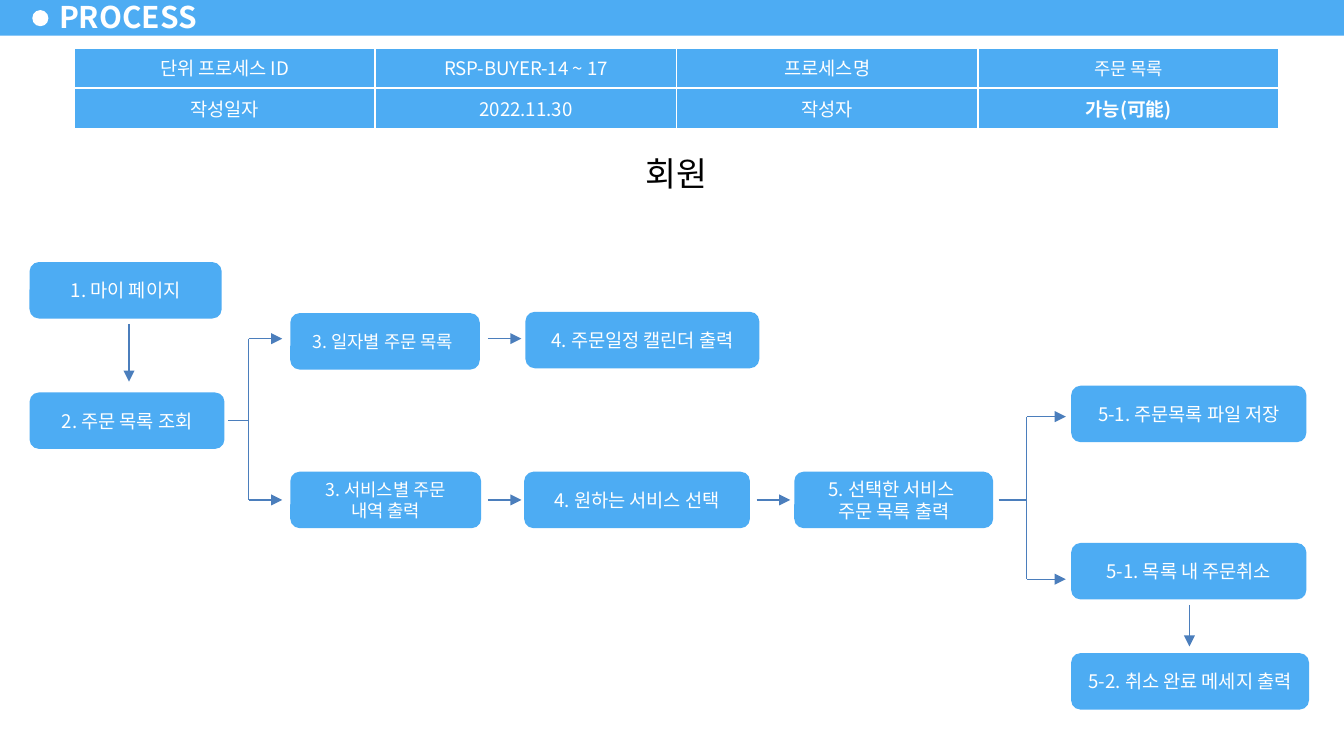
from lxml.etree import SubElement
from pptx import Presentation
from pptx.dml.color import RGBColor
from pptx.enum.shapes import MSO_CONNECTOR, MSO_SHAPE
from pptx.enum.text import MSO_ANCHOR, PP_ALIGN
from pptx.oxml.ns import qn
from pptx.util import Inches, Pt

BLUE = RGBColor(0x4D, 0xAC, 0xF3)
LINE = RGBColor(0x4B, 0x7E, 0xBC)
WHITE = RGBColor(0xFF, 0xFF, 0xFF)
BLACK = RGBColor(0, 0, 0)
FONT = "Noto Sans CJK KR"
CELL = 0.1          # side of one grid cell, in inches
COLS, ROWS = 100, 56.25
NODE_H = 4.2

# Flow steps: column, row, width, text size, lines
STEPS = [
    (0.2, 0.5, 14.3, 10, ["1. 마이 페이지"]),
    (0.2, 10.2, 14.5, 10, ["2. 주문 목록 조회"]),
    (19.6, 4.3, 14.1, 9.5, ["3. 일자별 주문 목록 "]),
    (37.1, 4.2, 17.4, 10, ["4. 주문일정 캘린더 출력"]),
    (19.6, 16.1, 14.2, 9.5, ["3. 서비스별 주문", "내역 출력"]),
    (37, 16.1, 16.8, 10, ["4. 원하는 서비스 선택"]),
    (57.1, 16.1, 14.8, 10, ["5. 선택한 서비스 ", "주문 목록 출력"]),
    (77.7, 9.7, 17.5, 10, ["5-1. 주문목록 파일 저장"]),
    (77.7, 21.4, 17.5, 10, ["5-1. 목록 내 주문취소"]),
    (77.7, 29.6, 17.7, 10, ["5-2. 취소 완료 메세지 출력"]),
]
# Single arrows: from column, row, to column, row
ARROWS = [
    (7.6, 5.1, 7.6, 9.4),
    (34.3, 6.2, 36.8, 6.2),
    (34.3, 18.2, 36.8, 18.2),
    (54.3, 18.2, 56.8, 18.2),
    (86.5, 26, 86.5, 29.1),
]
# Forks: stem start, trunk and tip columns, then stem, top and bottom rows
FORKS = [
    (15, 16.5, 19, 12.3, 6.2, 18.2),
    (72.3, 74.4, 77.3, 18.2, 12, 24.1),
]
# Info table: text, size, bold
INFO = [
    [("단위 프로세스 ID", 10, False), ("RSP-BUYER-14 ~ 17", 10, False),
     ("프로세스명", 10, False), ("주문 목록", 9.5, False)],
    [("작성일자", 10, False), ("2022.11.30", 10, False),
     ("작성자", 10, False), ("가능(可能)", 10, True)],
]


def grid(*cells):
    return [Inches(n * CELL) for n in cells]


def write(frame, lines, size, color=WHITE, bold=False, align=PP_ALIGN.CENTER):
    frame.word_wrap = True
    for i, line in enumerate(lines):
        para = frame.add_paragraph() if i else frame.paragraphs[0]
        para.alignment = align
        run = para.add_run()
        run.text = line
        font = run.font
        font.name, font.size, font.bold = FONT, Pt(size), bold
        font.color.rgb = color
        SubElement(run._r.get_or_add_rPr(), qn("a:ea"), typeface=FONT)


def block(slide, kind, box, fill):
    shape = slide.shapes.add_shape(kind, *grid(*box))
    shape.shadow.inherit = False
    shape.fill.solid()
    shape.fill.fore_color.rgb = fill
    shape.line.fill.background()
    return shape


def link(slide, ends, head=True):
    wire = slide.shapes.add_connector(MSO_CONNECTOR.STRAIGHT, *grid(*ends))
    wire.line.color.rgb = LINE
    wire.line.width = Pt(0.75)
    if head:
        SubElement(wire.line._get_or_add_ln(), qn("a:tailEnd"), type="triangle")
    SubElement(wire._element.spPr, qn("a:effectLst"))


def banner(slide, box):
    x, y, w, h = box
    block(slide, MSO_SHAPE.RECTANGLE, box, BLUE)
    block(slide, MSO_SHAPE.OVAL, (x + 2.4, y + 0.9, 1.2, 1.2), WHITE)
    title = slide.shapes.add_textbox(*grid(x + 3.5, y - 0.2, 12.2, 3.2))
    frame = title.text_frame
    frame.vertical_anchor = MSO_ANCHOR.MIDDLE
    frame.margin_left = frame.margin_right = Inches(0.09)
    frame.margin_top = frame.margin_bottom = Inches(0.04)
    write(frame, ["PROCESS"], 16, bold=True, align=PP_ALIGN.LEFT)


def edge(cell):
    props = cell._tc.get_or_add_tcPr()
    for i, side in enumerate(("lnL", "lnR", "lnT", "lnB")):
        line = props.makeelement(qn("a:" + side), {"w": str(Pt(1))})
        SubElement(SubElement(line, qn("a:solidFill")), qn("a:srgbClr"),
                   val=str(WHITE))
        props.insert(i, line)


def info(slide, box):
    table = slide.shapes.add_table(len(INFO), len(INFO[0]), *grid(*box)).table
    for r, row in enumerate(INFO):
        for c, (text, size, bold) in enumerate(row):
            cell = table.cell(r, c)
            cell.fill.solid()
            cell.fill.fore_color.rgb = BLUE
            cell.vertical_anchor = MSO_ANCHOR.MIDDLE
            write(cell.text_frame, [text], size, bold=bold)
            edge(cell)


def heading(slide, box):
    shape = block(slide, MSO_SHAPE.RECTANGLE, box, WHITE)
    shape.text_frame.vertical_anchor = MSO_ANCHOR.TOP
    write(shape.text_frame, ["회원"], 18, BLACK)


def flow(slide, box):
    left, top = box[:2]

    def wire(x1, y1, x2, y2, head=True):
        link(slide, (left + x1, top + y1, left + x2, top + y2), head)

    # Steps
    for x, y, w, size, lines in STEPS:
        node = block(slide, MSO_SHAPE.ROUNDED_RECTANGLE,
                     (left + x, top + y, w, NODE_H), BLUE)
        node.text_frame.vertical_anchor = MSO_ANCHOR.MIDDLE
        write(node.text_frame, lines, size)
    # Arrows
    for ends in ARROWS:
        wire(*ends)
    # Forks
    for start, trunk, tip, mid, high, low in FORKS:
        wire(start, mid, trunk, mid, False)
        wire(trunk, high, trunk, low, False)
        for y in (high, low):
            wire(trunk, y, tip, y)


def main():
    deck = Presentation()
    deck.slide_width, deck.slide_height = grid(COLS, ROWS)
    slide = deck.slides.add_slide(deck.slide_layouts[6])
    banner(slide, (0, -0.15, COLS, 2.8))
    info(slide, (5.5, 3.55, 89.7, 6))
    heading(slide, (32.5, 10.9, 35.7, 4.1))
    flow(slide, (2, 19, 96, 34))
    deck.save("out.pptx")


if __name__ == "__main__":
    main()
